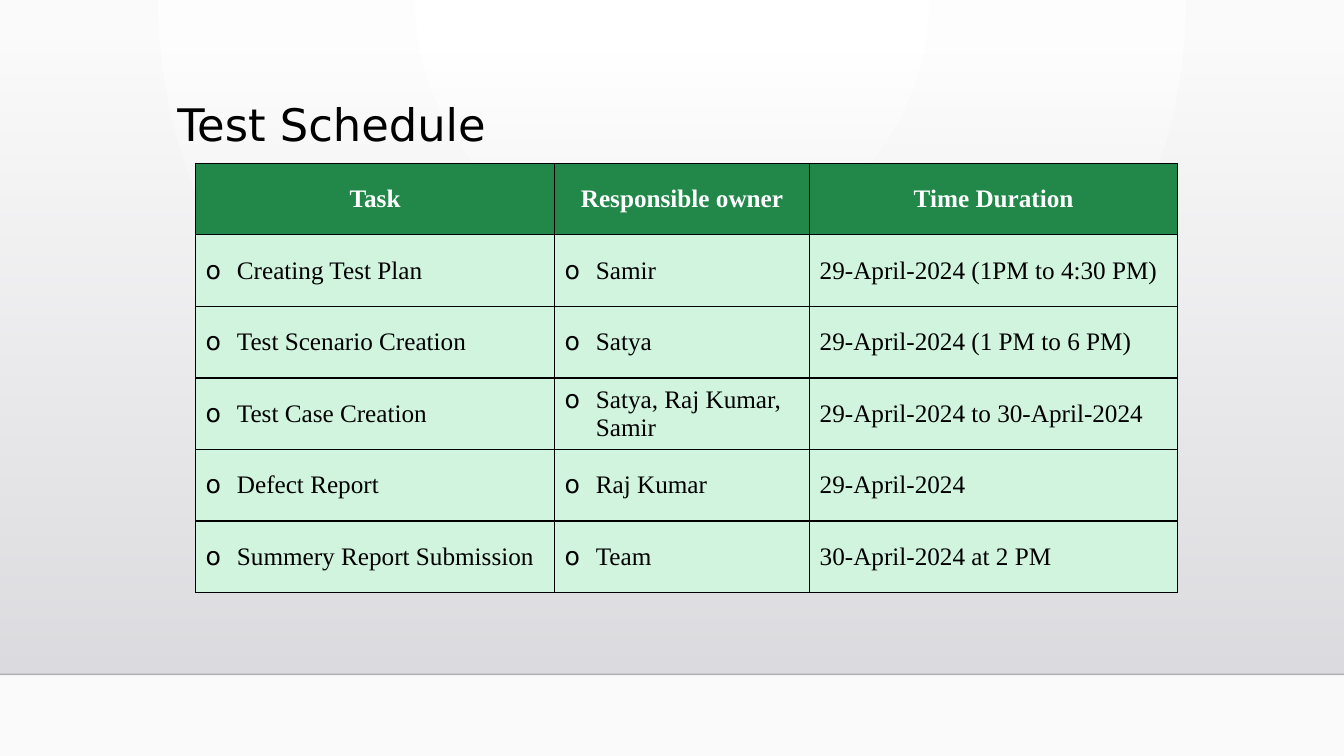
"""Build the test schedule slide."""
from typing import NamedTuple

from lxml import etree
from pptx import Presentation
from pptx.dml.color import RGBColor
from pptx.dml.fill import FillFormat
from pptx.enum.shapes import MSO_CONNECTOR, MSO_SHAPE
from pptx.enum.text import MSO_ANCHOR, MSO_AUTO_SIZE, PP_ALIGN
from pptx.oxml.ns import qn
from pptx.slide import Slide
from pptx.table import _Cell
from pptx.util import Inches, Pt

STRAIGHT = MSO_CONNECTOR.STRAIGHT
RECTANGLE = MSO_SHAPE.RECTANGLE
TOP, MIDDLE = MSO_ANCHOR.TOP, MSO_ANCHOR.MIDDLE
LEFT, CENTER = PP_ALIGN.LEFT, PP_ALIGN.CENTER
NO_AUTOFIT = MSO_AUTO_SIZE.NONE

BLACK = RGBColor(0x00, 0x00, 0x00)
WHITE = RGBColor(0xFF, 0xFF, 0xFF)
OFF_WHITE = RGBColor(0xFA, 0xFA, 0xFA)
PANEL_TOP = RGBColor(0xDC, 0xDC, 0xE0)
PANEL_BOTTOM = RGBColor(0xDE, 0xDE, 0xE2)
GREEN = RGBColor(0x21, 0x88, 0x4A)
MINT = RGBColor(0xD1, 0xF4, 0xDF)

TITLE_FONT = "DejaVu Sans"
TABLE_FONT = "Times New Roman"
SLIDE_WIDTH, SLIDE_HEIGHT = Inches(13.33), Inches(7.5)
FLOOR = Inches(6.69)
ROW_HEIGHT = Inches(0.71)
BULLET_INDENT = Inches(0.31)


class Column(NamedTuple):
    heading: str
    width: float
    bulleted: bool


class Task(NamedTuple):
    name: str
    owner: str
    duration: str


COLUMNS = (
    Column("Task", 3.56, True),
    Column("Responsible owner", 2.53, True),
    Column("Time Duration", 3.65, False),
)
TASKS = (
    Task("Creating Test Plan", "Samir", "29-April-2024 (1PM to 4:30 PM)"),
    Task("Test Scenario Creation", "Satya", "29-April-2024 (1 PM to 6 PM)"),
    Task("Test Case Creation", "Satya, Raj Kumar, Samir", "29-April-2024 to 30-April-2024"),
    Task("Defect Report", "Raj Kumar", "29-April-2024"),
    Task("Summery Report Submission", "Team", "30-April-2024 at 2 PM"),
)


def set_gradient(fill: FillFormat, start: RGBColor, end: RGBColor) -> None:
    fill.gradient()
    fill.gradient_angle = 270
    for stop, color, position in zip(fill.gradient_stops, (start, end), (0, 1)):
        stop.color.rgb = color
        stop.position = position


def set_first_alpha(element: etree._Element, percent: int) -> None:
    color = next(element.iter(qn("a:srgbClr")))
    etree.SubElement(color, qn("a:alpha"), val=str(percent * 1000))


def draw_background(page: Slide) -> None:
    set_gradient(page.background.fill, WHITE, OFF_WHITE)
    linear = next(page.element.iter(qn("a:lin")))
    circle = etree.Element(qn("a:path"), {"path": "circle"})
    etree.SubElement(circle, qn("a:fillToRect"), l="43000", t="0", r="43000", b="100000")
    linear.getparent().replace(linear, circle)

    panel_top = Inches(0.51)
    panel = page.shapes.add_shape(RECTANGLE, 0, panel_top, SLIDE_WIDTH, FLOOR - panel_top)
    panel.shadow.inherit = False
    panel.line.fill.background()
    set_gradient(panel.fill, PANEL_TOP, PANEL_BOTTOM)
    set_first_alpha(panel.element.spPr, 0)

    floor_line = page.shapes.add_connector(STRAIGHT, 0, FLOOR, SLIDE_WIDTH, FLOOR)
    floor_line.line.color.rgb = BLACK
    floor_line.line.width = Pt(1)
    set_first_alpha(floor_line.element.spPr, 20)
    etree.SubElement(floor_line.element.spPr, qn("a:effectLst"))


def draw_title(page: Slide) -> None:
    title = page.shapes.title
    title.left, title.top = Inches(1.66), Inches(0.97)
    title.width, title.height = Inches(10.5), Inches(0.73)
    frame = title.text_frame
    frame.text = "Test Schedule"
    frame.auto_size = NO_AUTOFIT
    frame.vertical_anchor = TOP
    para = frame.paragraphs[0]
    para.alignment = LEFT
    para.line_spacing = 0.9
    para.font.name = TITLE_FONT
    para.font.size = Pt(32)
    para.font.color.rgb = BLACK
    page.shapes._spTree.append(title.element)


def add_borders(cell: _Cell) -> None:
    properties = cell._tc.get_or_add_tcPr()
    for index, side in enumerate(("a:lnL", "a:lnR", "a:lnT", "a:lnB")):
        border = etree.Element(qn(side), w=str(Pt(1)))
        solid = etree.SubElement(border, qn("a:solidFill"))
        etree.SubElement(solid, qn("a:srgbClr"), val=str(BLACK))
        properties.insert(index, border)


def write_cell(cell: _Cell, text: str, heading: bool, bulleted: bool) -> None:
    cell.text = text
    cell.vertical_anchor = MIDDLE
    cell.fill.solid()
    cell.fill.fore_color.rgb = GREEN if heading else MINT
    add_borders(cell)
    para = cell.text_frame.paragraphs[0]
    para.alignment = CENTER if heading else LEFT
    para.font.name = TABLE_FONT
    para.font.size = Pt(18)
    para.font.bold = heading
    para.font.color.rgb = WHITE if heading else BLACK
    if bulleted:
        properties = para._p.get_or_add_pPr()
        properties.set("marL", str(BULLET_INDENT))
        properties.set("indent", str(-BULLET_INDENT))
        bullet_font = etree.Element(qn("a:buFont"), typeface=TITLE_FONT)
        bullet = etree.Element(qn("a:buChar"), char="o")
        properties.insert(0, bullet_font)
        properties.insert(1, bullet)


def draw_schedule(page: Slide) -> None:
    rows = (tuple(column.heading for column in COLUMNS), *TASKS)
    width = Inches(sum(column.width for column in COLUMNS))
    table = page.shapes.add_table(
        len(rows), len(COLUMNS), Inches(1.94), Inches(1.62), width, ROW_HEIGHT * len(rows)
    ).table
    for index, column in enumerate(COLUMNS):
        table.columns[index].width = Inches(column.width)
    for row_index, texts in enumerate(rows):
        table.rows[row_index].height = ROW_HEIGHT
        heading = row_index == 0
        for column_index, (text, column) in enumerate(zip(texts, COLUMNS)):
            cell = table.cell(row_index, column_index)
            write_cell(cell, text, heading, column.bulleted and not heading)


def main() -> None:
    deck = Presentation()
    deck.slide_width, deck.slide_height = SLIDE_WIDTH, SLIDE_HEIGHT
    page = deck.slides.add_slide(deck.slide_layouts.get_by_name("Title Only"))
    draw_background(page)
    draw_title(page)
    draw_schedule(page)
    deck.save("out.pptx")


if __name__ == "__main__":
    main()
